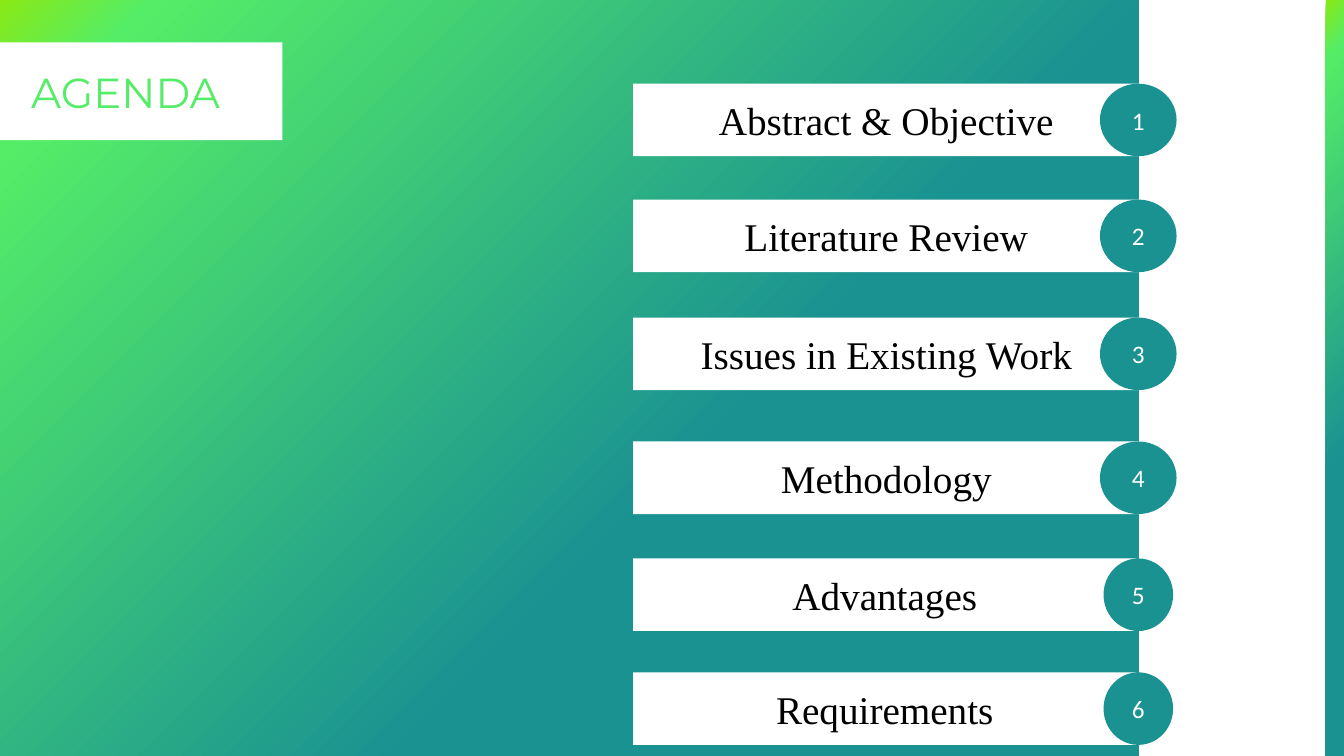
from copy import deepcopy
from dataclasses import dataclass

from lxml.etree import SubElement
from pptx import Presentation
from pptx.dml.color import RGBColor
from pptx.enum.shapes import MSO_SHAPE
from pptx.enum.text import MSO_ANCHOR, MSO_AUTO_SIZE, PP_ALIGN
from pptx.oxml.ns import qn
from pptx.util import Inches, Pt

TITLE = "AGENDA"
AGENDA = [
    ("Abstract & Objective", 0.83, 5.02, 0.76),
    ("Literature Review", 1.98, 5.02, 0.76),
    ("Issues in Existing Work", 3.15, 5.02, 0.76),
    ("Methodology", 4.38, 5.02, 0.76),
    ("Advantages", 5.54, 4.99, 0.69),
    ("Requirements", 6.67, 4.99, 0.69),
]
BAR_LEFT, BAR_HEIGHT, BADGE_CENTER = 6.28, 0.72, 11.29


@dataclass(frozen=True)
class Theme:
    white: str = "FFFFFF"
    black: str = "000000"
    green: str = "55ED67"
    teal: str = "1A9292"
    gradient: tuple = ((0, "89E915"), (0.08, "55ED67"), (0.61, "1A9292"))
    title_font: str = "Montserrat"
    item_font: str = "Times New Roman"
    number_font: str = "Calibri"
    title_size: int = 30
    item_size: int = 28
    number_size: int = 18


THEME = Theme()


def add_panel(page, kind, left, top, width, height, color=None):
    """Add a borderless shape filled with a colour or with the theme gradient."""
    panel = page.shapes.add_shape(kind, Inches(left), Inches(top), Inches(width), Inches(height))
    panel.shadow.inherit = False
    panel.line.fill.background()
    if color:
        panel.fill.solid()
        panel.fill.fore_color.rgb = RGBColor.from_string(color)
    else:
        fill_gradient(panel)
    return panel


def fill_gradient(panel):
    """Fill a shape with the diagonal theme gradient."""
    panel.fill.gradient()
    panel.fill.gradient_angle = 315
    stop_list = panel.element.spPr.find(qn("a:gradFill")).find(qn("a:gsLst"))
    stop_list.append(deepcopy(stop_list[-1]))
    for stop, (position, color) in zip(panel.fill.gradient_stops, THEME.gradient):
        stop.position = position
        stop.color.rgb = RGBColor.from_string(color)


def write(box, text, *, font, size, color):
    """Put one centred line of formatted text into a shape."""
    frame = box.text_frame
    frame.word_wrap = True
    frame.auto_size = MSO_AUTO_SIZE.NONE
    frame.vertical_anchor = MSO_ANCHOR.MIDDLE
    para = frame.paragraphs[0]
    para.alignment = PP_ALIGN.CENTER
    span = para.add_run()
    span.text = text
    span.font.name = font
    span.font.size = Pt(size)
    span.font.color.rgb = RGBColor.from_string(color)


def place_title(page):
    """Turn the title placeholder into the rounded tab on the left edge."""
    title = page.shapes.title
    title.left, title.top = Inches(-0.31), Inches(0.42)
    title.width, title.height = Inches(3.11), Inches(0.97)
    outline = SubElement(title.element.spPr, qn("a:prstGeom"), prst="roundRect")
    guides = SubElement(outline, qn("a:avLst"))
    SubElement(guides, qn("a:gd"), name="adj", fmla="val 31000")
    title.fill.solid()
    title.fill.fore_color.rgb = RGBColor.from_string(THEME.white)
    write(title, TITLE, font=THEME.title_font, size=THEME.title_size, color=THEME.green)
    page.shapes.element.append(title.element)


def add_item(page, number, text, top, bar_width, badge_width):
    """Add an agenda bar with its numbered badge."""
    bar = add_panel(page, MSO_SHAPE.RECTANGLE, BAR_LEFT, top, bar_width, BAR_HEIGHT, THEME.white)
    write(bar, text, font=THEME.item_font, size=THEME.item_size, color=THEME.black)
    badge_left = BADGE_CENTER - badge_width / 2
    badge = add_panel(page, MSO_SHAPE.OVAL, badge_left, top, badge_width, BAR_HEIGHT, THEME.teal)
    write(badge, str(number), font=THEME.number_font, size=THEME.number_size, color=THEME.white)


def main():
    """Build the agenda slide and save it."""
    deck = Presentation()
    deck.slide_width, deck.slide_height = Inches(13.33), Inches(7.5)
    page = deck.slides.add_slide(deck.slide_layouts[5])
    add_panel(page, MSO_SHAPE.RECTANGLE, 0, 0, 11.29, 7.5)
    place_title(page)
    for number, item in enumerate(AGENDA, start=1):
        add_item(page, number, *item)
    add_panel(page, MSO_SHAPE.RECTANGLE, 13.15, -0.02, 0.19, 7.52)
    deck.save("out.pptx")


if __name__ == "__main__":
    main()
